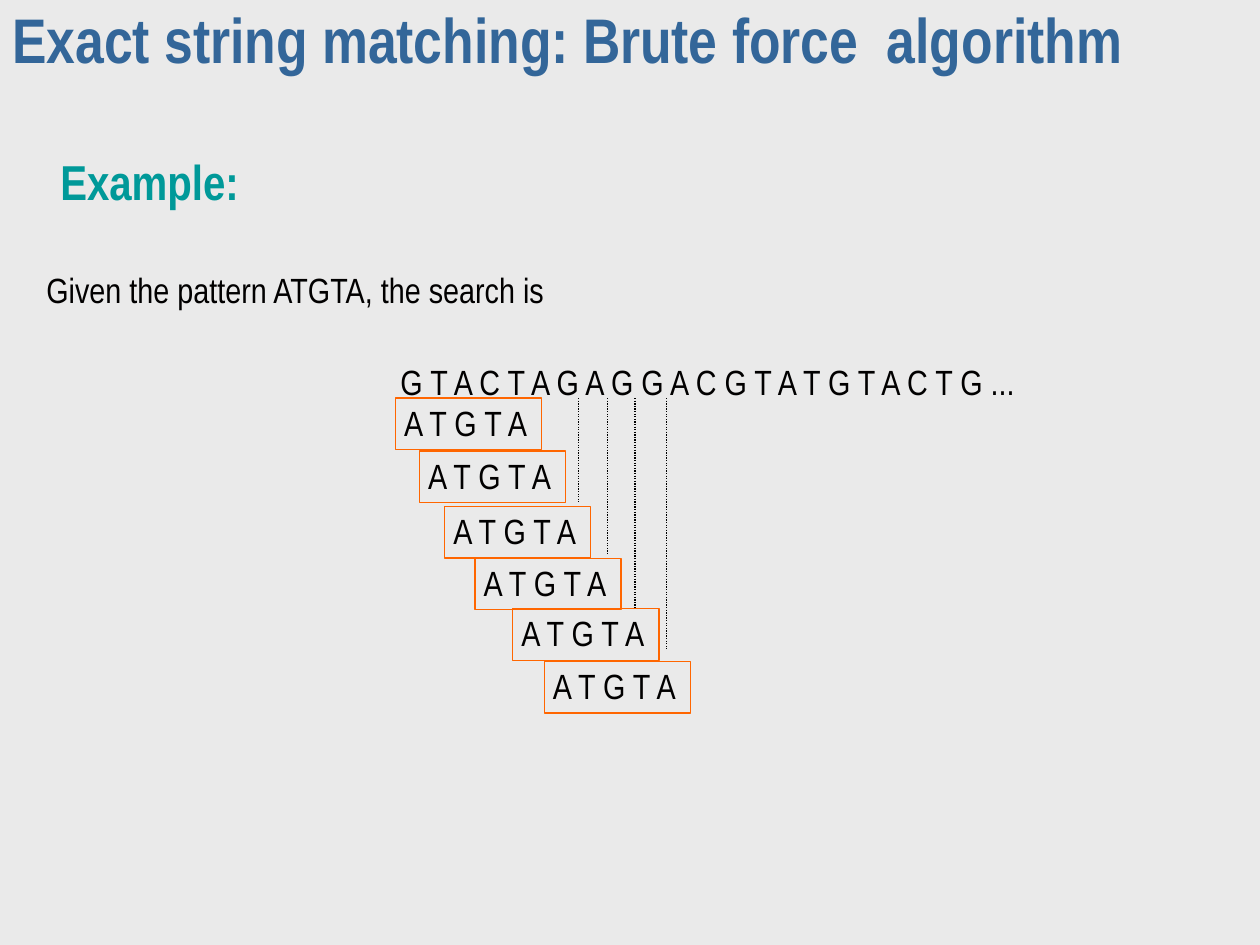
from typing import Any, NamedTuple, Optional

from pptx import Presentation
from pptx import util as u
from pptx.dml.color import RGBColor
from pptx.enum import dml, shapes, text
from pptx.oxml import ns, xmlchemy


class Label(NamedTuple):
    wording: str
    left: float
    top: float
    width: float
    height: float
    size: int = 20
    color: str = "010000"
    bold: bool = False
    anchor: Any = text.MSO_ANCHOR.MIDDLE
    wrap: bool = False
    grow: bool = True
    spacing: Optional[float] = None


class Alignment(NamedTuple):
    left: float
    top: float
    guide_x: Optional[float] = None
    guide_end: float = 0


PATTERN = "A T G T A"
GUIDE_TOP = 3.16
FRAME_OFFSET = 0.03
FRAME_WIDTH, FRAME_HEIGHT = 1.16, 0.41

HEADING = Label("Exact string matching: Brute force  algorithm", 0, 0, 10, 0.75,
                size=36, color="336699", bold=True, wrap=True, grow=False, spacing=0.7)
TASK = Label("Given the pattern ATGTA, the search is", 0.27, 2.08, 4.26, 0.44)
SEQUENCE = Label("G T A C T A G A G G A C G T A T G T A C T G ...", 3.08, 2.81, 5.27, 0.44)
EXAMPLE = Label("Example:", 0.38, 1.15, 2.18, 0.57, size=28, color="009999",
                bold=True, anchor=text.MSO_ANCHOR.TOP, wrap=True)

ALIGNMENTS = [
    Alignment(3.11, 3.13),
    Alignment(3.3, 3.55),
    Alignment(3.5, 3.99, 4.59, 3.98),
    Alignment(3.74, 4.4, 4.82, 4.4),
    Alignment(4.04, 4.8, 5.04, 4.82),
    Alignment(4.29, 5.22, 5.29, 5.15),
]


def paint(color_format: Any, hex_color: str) -> None:
    color_format.rgb = RGBColor.from_string(hex_color)


def apply(target: Any, values: dict) -> None:
    for name, value in values.items():
        setattr(target, name, value)


def add_label(slide: Any, label: Label) -> None:
    box = slide.shapes.add_textbox(u.Inches(label.left), u.Inches(label.top),
                                   u.Inches(label.width), u.Inches(label.height))
    fit = text.MSO_AUTO_SIZE.SHAPE_TO_FIT_TEXT if label.grow else text.MSO_AUTO_SIZE.NONE
    apply(box.text_frame, {"word_wrap": label.wrap, "auto_size": fit,
                           "vertical_anchor": label.anchor})
    paragraph = box.text_frame.paragraphs[0]
    paragraph.line_spacing = label.spacing
    run = paragraph.add_run()
    run.text = label.wording
    apply(run.font, {"name": "Arial Narrow", "size": u.Pt(label.size), "bold": label.bold})
    paint(run.font.color, label.color)


def add_frame(slide: Any, left: float, top: float) -> None:
    frame = slide.shapes.add_shape(shapes.MSO_SHAPE.RECTANGLE, u.Inches(left), u.Inches(top),
                                   u.Inches(FRAME_WIDTH), u.Inches(FRAME_HEIGHT))
    frame.shadow.inherit = False
    frame.fill.background()
    paint(frame.line.color, "FF6600")
    frame.line.width = u.Pt(0.75)


def add_guide(slide: Any, x: float, end: float) -> None:
    guide = slide.shapes.add_connector(shapes.MSO_CONNECTOR.STRAIGHT, u.Inches(x),
                                       u.Inches(GUIDE_TOP), u.Inches(x), u.Inches(end))
    paint(guide.line.color, "000000")
    apply(guide.line, {"width": u.Pt(0.75), "dash_style": dml.MSO_LINE.ROUND_DOT})
    guide.element.spPr.append(xmlchemy.OxmlElement("a:effectLst"))


def add_alignment(slide: Any, alignment: Alignment) -> None:
    add_label(slide, Label(PATTERN, alignment.left, alignment.top, 1.28, 0.44))
    add_frame(slide, alignment.left + FRAME_OFFSET, alignment.top + FRAME_OFFSET)
    if alignment.guide_x is not None:
        add_guide(slide, alignment.guide_x, alignment.guide_end)


def main() -> None:
    deck = Presentation()
    apply(deck, {"slide_width": u.Inches(10), "slide_height": u.Inches(7.5)})
    slide = deck.slides.add_slide(deck.slide_layouts[6])
    slide.background.fill.solid()
    paint(slide.background.fill.fore_color, "EAEAEA")
    for label in (HEADING, TASK, SEQUENCE):
        add_label(slide, label)
    for alignment in ALIGNMENTS:
        add_alignment(slide, alignment)
    add_label(slide, EXAMPLE)
    deck.save("out.pptx")


if __name__ == "__main__":
    main()
